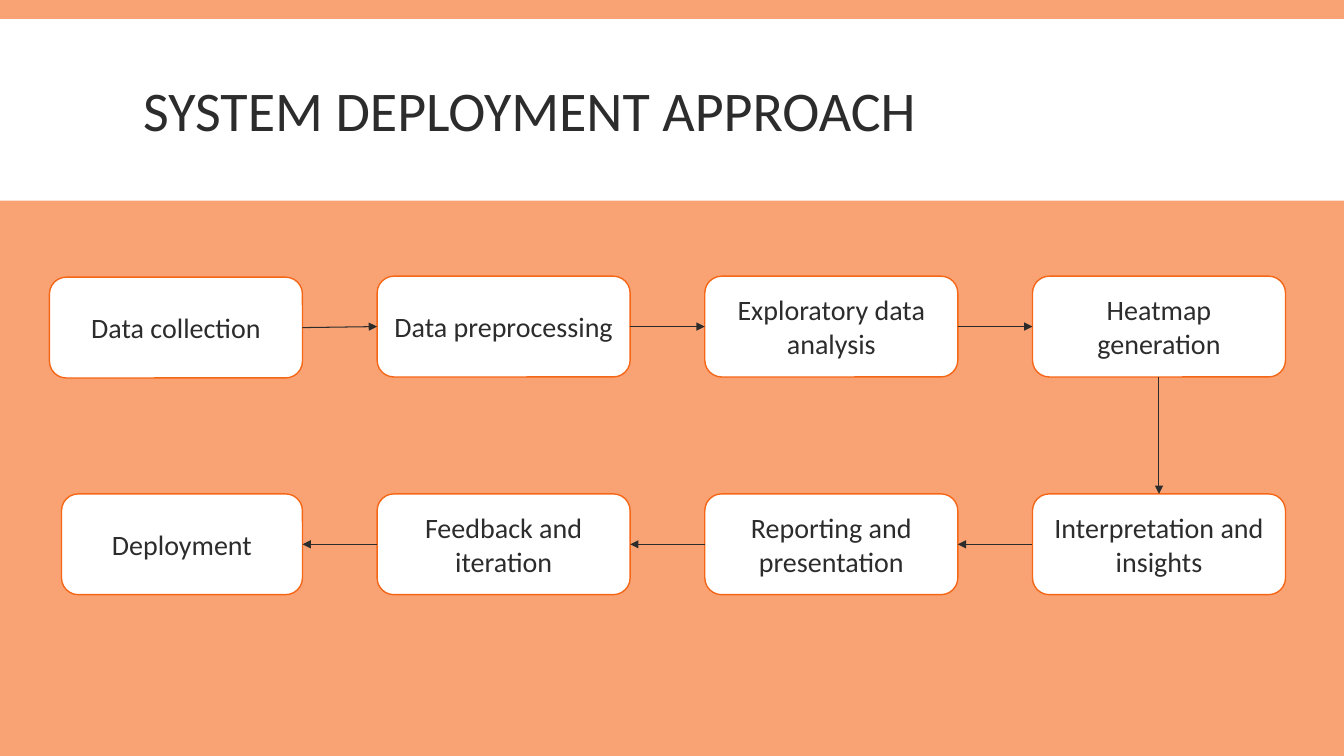
import dataclasses

import pptx
import pptx.dml.color
import pptx.enum.shapes
import pptx.enum.text
import pptx.oxml
import pptx.oxml.ns
import pptx.util
from pptx.util import Inches

FONT = "Calibri"
INK, WHITE, PEACH, EDGE = "2C2C2C", "FFFFFF", "F9A374", "F56617"
SHAPE = pptx.enum.shapes.MSO_SHAPE
ALIGN = pptx.enum.text.PP_ALIGN
TOP, LEFT, BOTTOM, RIGHT = range(4)  # connection sites of a box

# Grid of the flow
COL, PITCH = 0.49, 3.25
WIDE, HIGH = 2.51, 1.0
UPPER, LOWER = 2.74, 4.9


@dataclasses.dataclass
class Step:
    text: str
    col: int
    top: float
    trim: float = 0.0  # taken off the left side


STEPS = [
    Step("Data collection", 0, UPPER + 0.01),
    Step("Data preprocessing", 1, UPPER),
    Step("Exploratory data analysis", 2, UPPER),
    Step("Heatmap generation", 3, UPPER),
    Step("Interpretation and insights", 3, LOWER),
    Step("Reporting and presentation", 2, LOWER),
    Step("Feedback and iteration", 1, LOWER),
    Step("Deployment", 0, LOWER, 0.12),
]


def paint(color, code: str) -> None:
    color.rgb = pptx.dml.color.RGBColor.from_string(code)


def fill(item, code: str) -> None:
    item.fill.solid()
    paint(item.fill.fore_color, code)


def write(frame, text: str, size: float, align) -> None:
    frame.word_wrap = True
    frame.vertical_anchor = pptx.enum.text.MSO_ANCHOR.MIDDLE
    para = frame.paragraphs[0]
    para.alignment = align
    run = para.add_run()
    run.text = text
    run.font.name = FONT
    run.font.size = pptx.util.Pt(size)
    paint(run.font.color, INK)


def add_box(slide, step: Step):
    box = slide.shapes.add_shape(
        SHAPE.ROUNDED_RECTANGLE,
        Inches(COL + step.col * PITCH + step.trim), Inches(step.top),
        Inches(WIDE - step.trim), Inches(HIGH))
    box.shadow.inherit = False
    fill(box, WHITE)
    paint(box.line.color, EDGE)
    box.line.width = pptx.util.Pt(1)
    write(box.text_frame, step.text, 20, ALIGN.CENTER)
    return box


def sites(start: Step, end: Step) -> tuple[int, int]:
    if start.col == end.col:
        return BOTTOM, TOP
    return (RIGHT, LEFT) if start.col < end.col else (LEFT, RIGHT)


def add_arrow(slide, start, end, ports: tuple[int, int]) -> None:
    arrow = slide.shapes.add_connector(
        pptx.enum.shapes.MSO_CONNECTOR.STRAIGHT, 0, 0, 0, 0)
    arrow.begin_connect(start, ports[0])
    arrow.end_connect(end, ports[1])
    paint(arrow.line.color, INK)
    arrow.line.width = pptx.util.Pt(0.75)
    # Arrowhead and no shadow
    space = pptx.oxml.ns.nsdecls("a")
    line = arrow.line.fill and arrow.element.spPr.find(pptx.oxml.ns.qn("a:ln"))
    line.append(pptx.oxml.parse_xml(f'<a:tailEnd {space} type="triangle"/>'))
    arrow.element.spPr.append(pptx.oxml.parse_xml(f"<a:effectLst {space}/>"))


def add_head(slide) -> None:
    title = slide.shapes.title
    title.left, title.top = Inches(1.32), Inches(0.31)
    title.width, title.height = Inches(10.7), Inches(1.65)
    write(title.text_frame, "SYSTEM DEPLOYMENT APPROACH", 40, ALIGN.LEFT)
    title.text_frame.paragraphs[0].line_spacing = 0.85
    # White band behind the title
    band = slide.shapes.add_shape(
        SHAPE.RECTANGLE, 0, Inches(0.19), Inches(13.33), Inches(1.8))
    band.shadow.inherit = False
    fill(band, WHITE)
    band.line.fill.background()
    title.element.addprevious(band.element)


def main() -> None:
    deck = pptx.Presentation()
    deck.slide_width, deck.slide_height = Inches(13.33), Inches(7.5)
    slide = deck.slides.add_slide(deck.slide_layouts.get_by_name("Title Only"))
    fill(slide.background, PEACH)
    add_head(slide)

    # Flow of steps, each joined to the next
    boxes = [add_box(slide, step) for step in STEPS]
    for i in range(len(STEPS) - 1):
        ports = sites(STEPS[i], STEPS[i + 1])
        add_arrow(slide, boxes[i], boxes[i + 1], ports)

    deck.save("out.pptx")


if __name__ == "__main__":
    main()
